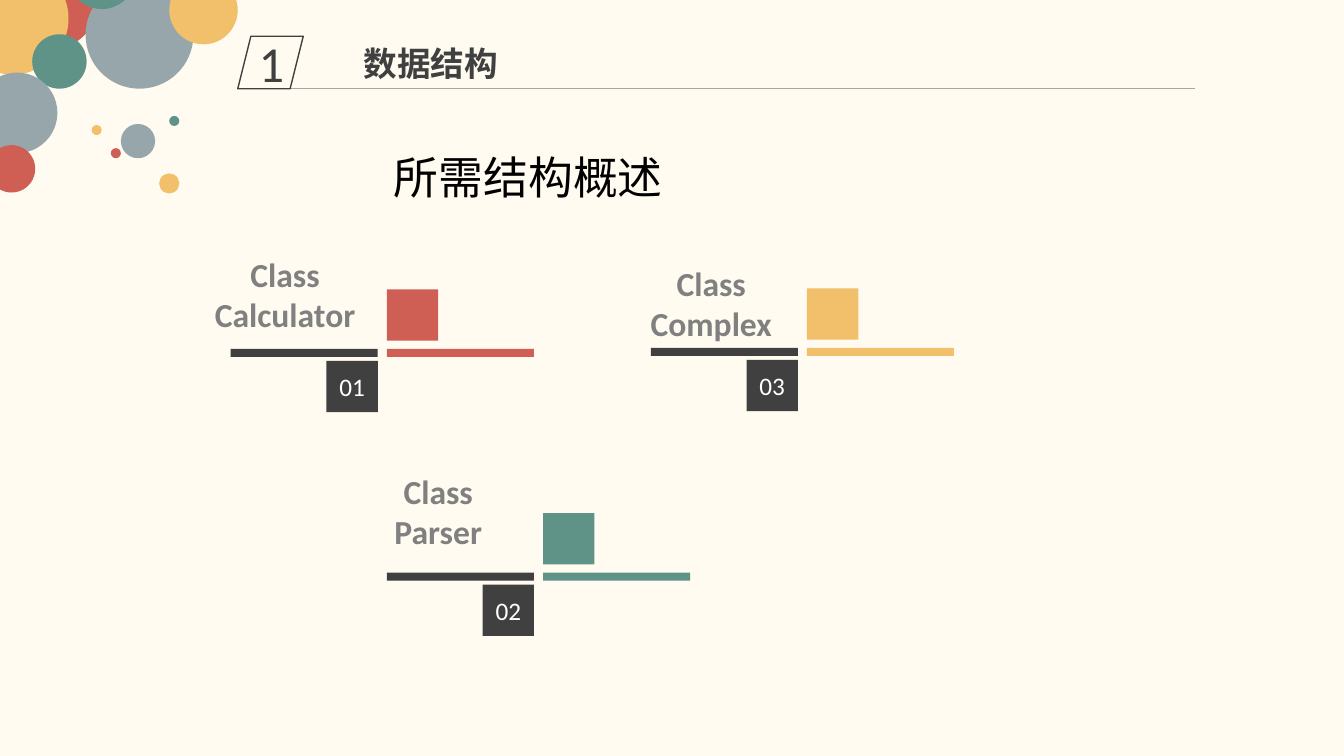
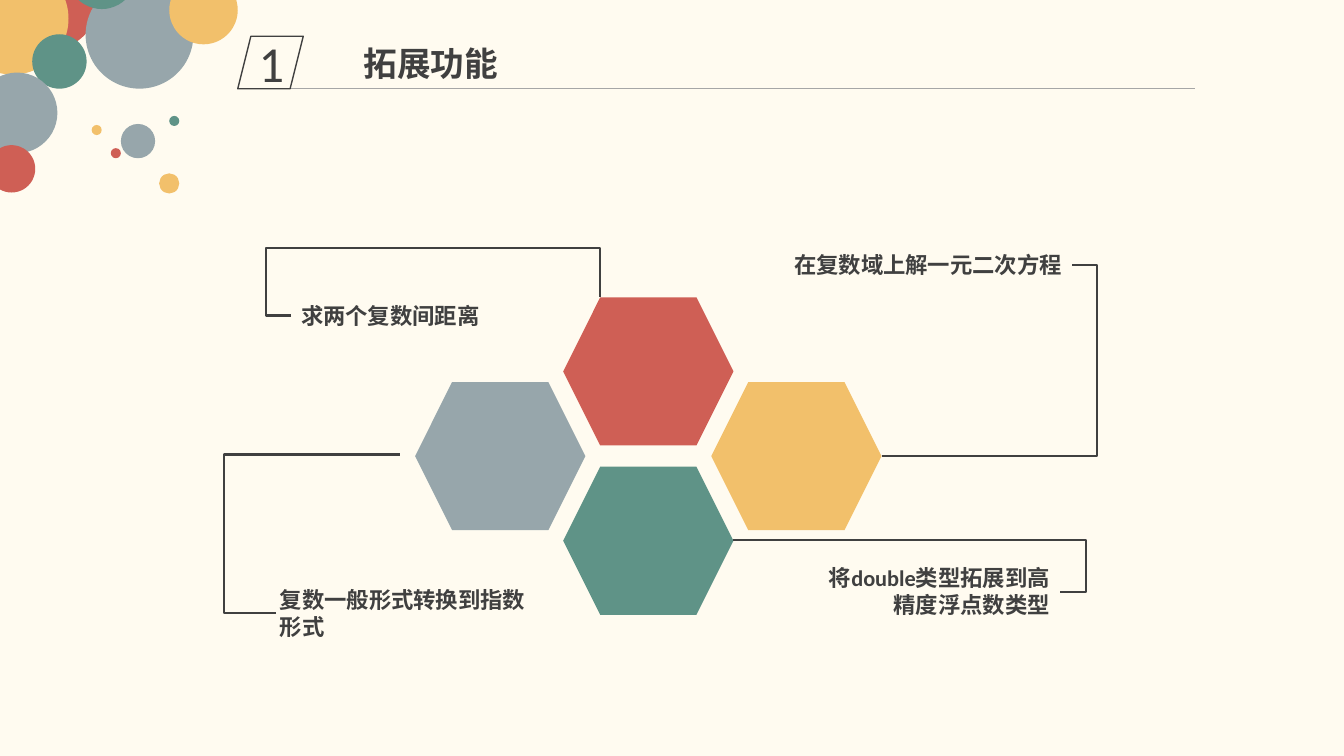
"""Builds two slides on a calculator's data structures and its extra features."""
import lxml.etree
import pptx
import pptx.dml.color
import pptx.enum.shapes
import pptx.enum.text
import pptx.oxml.ns
import pptx.util

Inches = pptx.util.Inches
SHAPE = pptx.enum.shapes.MSO_SHAPE
CONNECTOR = pptx.enum.shapes.MSO_CONNECTOR
ALIGN = pptx.enum.text.PP_ALIGN
qn = pptx.oxml.ns.qn

CREAM, DARK, GREY, RULE = "FFFBF0", "404040", "808080", "A6A6A6"
RED, YELLOW, GREEN, SLATE = "CF5F55", "F2C06B", "5F9387", "97A6AB"
LATIN, CJK = "Calibri", "Noto Sans CJK SC"

BUBBLES = [
    (0.04, -0.44, 0.93, RED), (-0.43, -0.37, 1.11, YELLOW),
    (0.32, 0.34, 0.54, GREEN), (-0.23, 0.72, 0.8, SLATE),
    (0.85, -0.19, 1.07, SLATE), (0.67, -0.59, 0.68, GREEN),
    (-0.12, 1.44, 0.47, RED), (1.2, 1.23, 0.34, SLATE),
    (1.1, 1.47, 0.1, RED), (0.91, 1.24, 0.1, YELLOW),
    (1.68, 1.15, 0.1, GREEN), (1.58, 1.72, 0.2, YELLOW),
    (1.68, -0.24, 0.68, YELLOW),
]


def rgb(code):
    """Turn a hex string into a colour."""
    return pptx.dml.color.RGBColor.from_string(code)


class Deck:
    """Holds the presentation, its style and the current slide."""

    def __init__(self):
        """Start a widescreen presentation."""
        self.presentation = pptx.Presentation()
        self.presentation.slide_width = Inches(13.34)
        self.presentation.slide_height = Inches(7.5)
        self.slide = None

    def new_slide(self, number, title):
        """Add a slide with its background, bubbles and title band."""
        self.slide = self.presentation.slides.add_slide(self.presentation.slide_layouts[6])
        self.slide.background.fill.solid()
        self.slide.background.fill.fore_color.rgb = rgb(CREAM)
        bubbles = self.slide.shapes.add_group_shape()
        for left, top, size, color in BUBBLES:
            self.shape(SHAPE.OVAL, (left, top, size, size), color, parent=bubbles)
        self.connector((2.84, 0.88), (11.86, 0.88), RULE, 0.5)
        badge = self.shape(SHAPE.PARALLELOGRAM, (2.36, 0.36, 0.65, 0.52), outline=DARK)
        self.set_text(badge, [number], 36, DARK, ALIGN.CENTER)
        self.text((3.51, 0.38, 5.13, 0.5), [title], 24, DARK, ALIGN.LEFT, bold=True, font=CJK)

    def shape(self, kind, box, fill=None, outline=None, parent=None):
        """Add a flat preset shape."""
        shapes = (parent or self.slide).shapes
        shape = shapes.add_shape(kind, *map(Inches, box))
        shape.shadow.inherit = False
        if fill:
            shape.fill.solid()
            shape.fill.fore_color.rgb = rgb(fill)
        else:
            shape.fill.background()
        if outline:
            shape.line.color.rgb = rgb(outline)
            shape.line.width = pptx.util.Pt(1)
        else:
            shape.line.fill.background()
        return shape

    def set_text(self, holder, lines, size, color, align, bold=False, font=LATIN):
        """Set one paragraph a line in a shape or text box."""
        frame = holder.text_frame
        frame.text = "\n".join(lines)
        for paragraph in frame.paragraphs:
            paragraph.alignment = align
            paragraph.font.size = pptx.util.Pt(size)
            paragraph.font.bold = bold
            paragraph.font.name = font
            paragraph.font.color.rgb = rgb(color)
            defaults = paragraph._p.pPr.find(qn("a:defRPr"))
            lxml.etree.SubElement(defaults, qn("a:ea"), typeface=CJK)

    def text(self, box, lines, size, color, align, bold=False, font=LATIN, wrap=True):
        """Add a text box that grows with its text."""
        holder = self.slide.shapes.add_textbox(*map(Inches, box))
        holder.text_frame.word_wrap = wrap
        holder.text_frame.auto_size = pptx.enum.text.MSO_AUTO_SIZE.SHAPE_TO_FIT_TEXT
        self.set_text(holder, lines, size, color, align, bold, font)

    def connector(self, start, end, color, width, bends=()):
        """Add a straight line, or an elbow whose bends are shares of its size."""
        kind = CONNECTOR.ELBOW if bends else CONNECTOR.STRAIGHT
        line = self.slide.shapes.add_connector(kind, *map(Inches, start + end))
        line.line.color.rgb = rgb(color)
        line.line.width = pptx.util.Pt(width)
        properties = line._element.spPr
        lxml.etree.SubElement(properties, qn("a:effectLst"))
        if bends:
            geometry = properties.find(qn("a:prstGeom"))
            geometry.set("prst", f"bentConnector{len(bends) + 2}")
            guides = geometry.get_or_add_avLst()
            for index, bend in enumerate(bends, 1):
                lxml.etree.SubElement(guides, qn("a:gd"), name=f"adj{index}",
                                      fmla=f"val {round(bend * 100000)}")

    def class_card(self, left, top, number, name, label_at, color):
        """Add a class label over a dark and a coloured bar with their squares."""
        bar, square, shift = (1.46, 0.08), (0.51, 0.51), 1.55
        self.shape(SHAPE.RECTANGLE, (left, top, *bar), DARK)
        self.shape(SHAPE.RECTANGLE, (left + shift, top, *bar), color)
        self.shape(SHAPE.RECTANGLE, (left + shift, top - 0.59, *square), color)
        badge = self.shape(SHAPE.RECTANGLE, (left + 0.95, top + 0.12, *square), DARK)
        self.set_text(badge, [number], 18, "FFFFFF", ALIGN.CENTER)
        self.text((*label_at, 1.8, 0.91), ["Class", name], 24, GREY, ALIGN.CENTER, bold=True)


def structures(deck):
    """Build the overview of the three classes."""
    deck.new_slide("1", "数据结构")
    deck.text((3.8, 1.44, 2.89, 0.64), ["所需结构概述"], 32, "000000", ALIGN.CENTER, wrap=False)
    deck.class_card(2.29, 3.46, "01", "Calculator", (1.93, 2.47), RED)
    deck.class_card(3.84, 5.68, "02", "Parser", (3.45, 4.62), GREEN)
    deck.class_card(6.46, 3.45, "03", "Complex", (6.16, 2.56), YELLOW)


def features(deck):
    """Build the honeycomb of four extra features."""
    deck.new_slide("1", "拓展功能")
    for column, row, color in [(1, 0, RED), (1, 2, GREEN), (0, 1, SLATE), (2, 1, YELLOW)]:
        box = (4.12 + 1.47 * column, 2.95 + 0.84 * row, 1.69, 1.47)
        deck.shape(SHAPE.HEXAGON, box, color)
    for box, feature, align in [
        ((7.72, 2.44, 2.92, 0.37), "在复数域上解一元二次方程", ALIGN.RIGHT),
        ((8.11, 5.55, 2.41, 0.64), "将double类型拓展到高精度浮点数类型", ALIGN.RIGHT),
        ((2.68, 5.77, 2.73, 0.64), "复数一般形式转换到指数形式", ALIGN.LEFT),
        ((2.89, 2.95, 2.67, 0.37), "求两个复数间距离", ALIGN.LEFT),
    ]:
        deck.text(box, [feature], 16, DARK, align, bold=True)
    for start, end, bends in [
        ((2.89, 3.13), (5.96, 2.95), (-0.08, 3.7)),
        ((8.75, 4.52), (10.64, 2.63), (1.13,)),
        ((7.28, 5.36), (10.52, 5.87), (1.08,)),
        ((2.74, 6.08), (3.97, 4.51), (-0.42,)),
    ]:
        deck.connector(start, end, DARK, 1.5, bends)


def main():
    """Build and save the deck."""
    deck = Deck()
    structures(deck)
    features(deck)
    deck.presentation.save("out.pptx")


if __name__ == "__main__":
    main()
